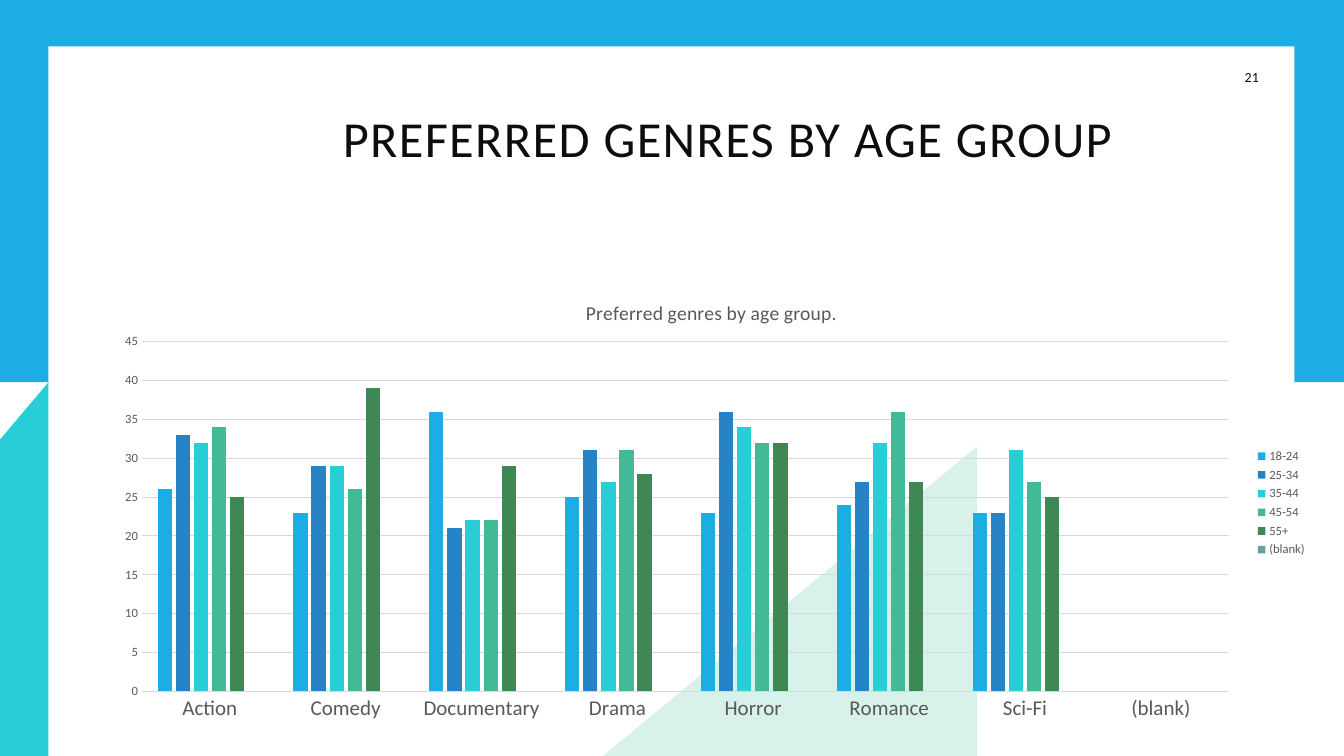
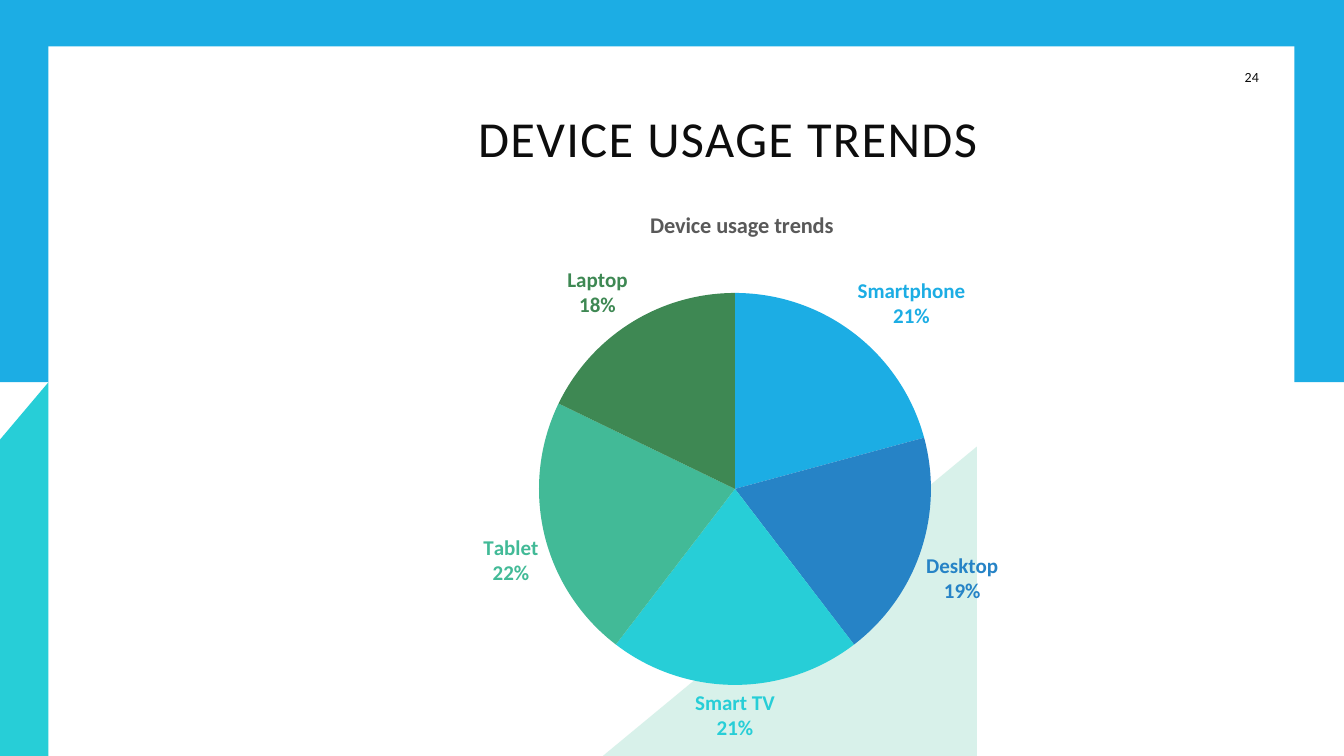
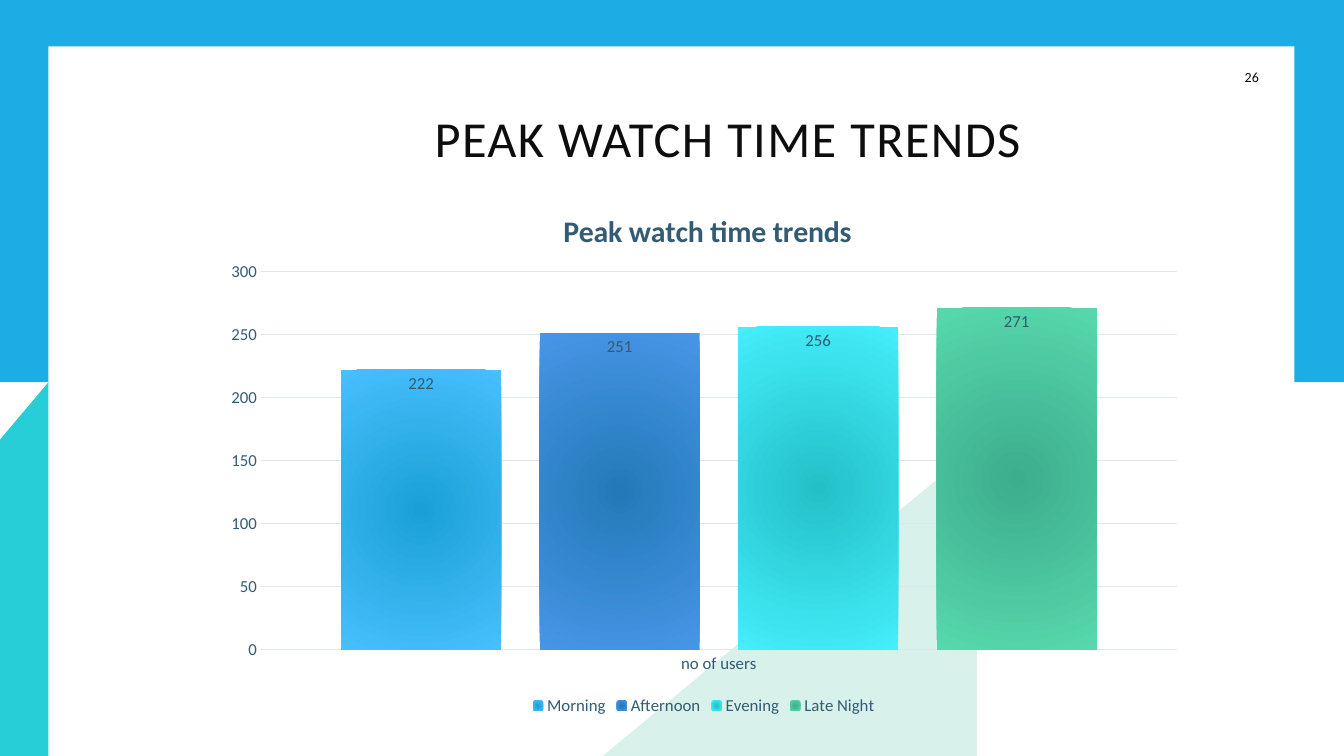
from dataclasses import dataclass
from typing import Any, NamedTuple, Optional

from lxml import etree
from pptx import Presentation
from pptx import util as u
from pptx.chart import data as chart_data
from pptx.dml.color import RGBColor
from pptx.enum import chart as kinds
from pptx.enum import shapes, text
from pptx.oxml import ns

Pt = u.Pt
FONT = "Calibri"
WHITE = RGBColor(0xFF, 0xFF, 0xFF)
INK = RGBColor(0x0D, 0x0D, 0x0D)
GREY = RGBColor(0x59, 0x59, 0x59)
SLATE = RGBColor(0x33, 0x5B, 0x74)
GREY_RULE = RGBColor(0xD9, 0xD9, 0xD9)
SLATE_RULE = RGBColor(0xDB, 0xE8, 0xEF)
SKY = RGBColor(0x1C, 0xAD, 0xE4)
BLUE = RGBColor(0x26, 0x83, 0xC6)
TURQUOISE = RGBColor(0x27, 0xCE, 0xD7)
MINT = RGBColor(0x42, 0xBA, 0x97)
GREEN = RGBColor(0x3E, 0x88, 0x53)
TEAL = RGBColor(0x62, 0xA3, 0x9F)
PALE_MINT = RGBColor(0xB3, 0xE4, 0xD6)
ACCENTS = (SKY, BLUE, TURQUOISE, MINT, GREEN, TEAL)
# Centre and edge colour of each radial gradient
GLOWS = (
    (RGBColor(0x1A, 0xA1, 0xD4), RGBColor(0x48, 0xBF, 0xFF)),
    (RGBColor(0x23, 0x7A, 0xB8), RGBColor(0x48, 0x95, 0xE7)),
    (RGBColor(0x24, 0xC0, 0xC8), RGBColor(0x44, 0xEE, 0xFA)),
    (RGBColor(0x3D, 0xAD, 0x8D), RGBColor(0x57, 0xD8, 0xAC)),
)


class Frame(NamedTuple):
    """A rectangle on the page, in points."""
    left: float
    top: float
    width: float
    height: float

    def lengths(self) -> list[u.Length]:
        return [Pt(value) for value in self]


@dataclass(frozen=True)
class Heading:
    words: str
    left: float
    top: float
    size: float
    bold: bool
    color: RGBColor


@dataclass(frozen=True)
class ChartSpec:
    kind: Any
    frame: Frame
    plot: Frame
    heading: Heading
    categories: tuple[str, ...]
    series: dict[str, tuple[Optional[int], ...]]


@dataclass(frozen=True)
class ColumnStyle:
    gap: int
    overlap: int
    top_value: int
    step: int
    category_size: int
    small_size: int
    color: RGBColor
    rule: RGBColor
    legend: Any


GENRES = ChartSpec(
    kinds.XL_CHART_TYPE.COLUMN_CLUSTERED,
    Frame(72, 196.6, 869, 325.4), Frame(101.4, 244, 776.4, 250),
    Heading("Preferred genres by age group.", 416, 211.5, 14, False, GREY),
    ("Action", "Comedy", "Documentary", "Drama", "Horror", "Romance", "Sci-Fi", "(blank)"),
    {
        "18-24": (26, 23, 36, 25, 23, 24, 23, None),
        "25-34": (33, 29, 21, 31, 36, 27, 23, None),
        "35-44": (32, 29, 22, 27, 34, 32, 31, None),
        "45-54": (34, 26, 22, 31, 32, 36, 27, None),
        "55+": (25, 39, 29, 28, 32, 27, 25, None),
        "(blank)": (None,) * 8,
    },
)
DEVICES = ChartSpec(
    kinds.XL_CHART_TYPE.PIE,
    Frame(139, 131, 782.6, 409), Frame(385, 209.3, 280, 280),
    Heading("Device usage trends", 461.5, 147, 16, True, GREY),
    ("Smartphone", "Desktop", "Smart TV", "Tablet", "Laptop"),
    {"Series 1": (21, 19, 21, 22, 18)},
)
WATCH_TIMES = ChartSpec(
    kinds.XL_CHART_TYPE.COLUMN_CLUSTERED,
    Frame(151, 129, 703.4, 385.2), Frame(186.4, 193.8, 654.3, 270.4),
    Heading("Peak watch time trends", 398.5, 146.5, 21.28, True, SLATE),
    ("no of users",),
    {"Morning": (222,), "Afternoon": (251,), "Evening": (256,), "Late Night": (271,)},
)
LEGEND = kinds.XL_LEGEND_POSITION
GENRE_STYLE = ColumnStyle(219, -27, 45, 5, 15, 9, GREY, GREY_RULE, LEGEND.RIGHT)
WATCH_STYLE = ColumnStyle(100, -24, 300, 50, 12, 12, SLATE, SLATE_RULE, LEGEND.BOTTOM)


def assign(target: Any, values: dict[str, Any]) -> None:
    for name, value in values.items():
        setattr(target, name, value)


def set_font(font: Any, size: float, color: RGBColor, bold: bool = False) -> None:
    assign(font, {"name": FONT, "size": Pt(size), "bold": bold})
    font.color.rgb = color


def paint(shape: Any, color: RGBColor) -> None:
    shape.shadow.inherit = False
    shape.fill.solid()
    shape.fill.fore_color.rgb = color
    shape.line.fill.background()


def add_rectangle(page: Any, frame: Frame, color: RGBColor) -> None:
    paint(page.shapes.add_shape(shapes.MSO_SHAPE.RECTANGLE, *frame.lengths()), color)


def add_polygon(page: Any, corners: list[tuple[float, float]], color: RGBColor) -> Any:
    start, *others = [(Pt(x), Pt(y)) for x, y in corners]
    builder = page.shapes.build_freeform(*start, scale=1.0)
    builder.add_line_segments(others, close=True)
    polygon = builder.convert_to_shape()
    paint(polygon, color)
    return polygon


def add_text(page: Any, frame: Frame, words: str, size: float, align: Any) -> Any:
    box = page.shapes.add_textbox(*frame.lengths())
    assign(box.text_frame, {"word_wrap": True, "vertical_anchor": text.MSO_ANCHOR.MIDDLE})
    para = box.text_frame.paragraphs[0]
    para.alignment = align
    span = para.add_run()
    span.text = words
    set_font(span.font, size, INK)
    return span


def add_page(deck: Any, title: str, number: int) -> Any:
    """Add a page with the frame, title and number that all pages share."""
    page = deck.slides.add_slide(deck.slide_layouts[6])
    add_rectangle(page, Frame(-2, 0, 962, 273), SKY)
    add_rectangle(page, Frame(34.6, 33.1, 890, 474.5), WHITE)
    triangle = add_polygon(page, [(430.6, 540), (697.7, 319), (697.7, 540)], PALE_MINT)
    for color in triangle.fill._xPr.iter(ns.qn("a:srgbClr")):
        etree.SubElement(color, ns.qn("a:alpha"), val="50000")
    add_polygon(page, [(34.6, 273), (34.6, 540), (0, 540), (0, 314)], TURQUOISE)
    span = add_text(page, Frame(185, 0, 670, 196.6), title, 36, text.PP_ALIGN.CENTER)
    span.font._element.set("spc", "100")
    add_text(page, Frame(882, 36, 77.8, 37.4), str(number), 10, text.PP_ALIGN.LEFT)
    return page


def manual_layout(values: dict[str, Any]) -> Any:
    layout = etree.Element(ns.qn("c:layout"))
    manual = etree.SubElement(layout, ns.qn("c:manualLayout"))
    for name, value in values.items():
        etree.SubElement(manual, ns.qn(f"c:{name}"), val=str(value))
    return layout


def clear_layout(element: Any) -> None:
    for layout in element.findall(ns.qn("c:layout")):
        element.remove(layout)


def empty_fill() -> Any:
    properties = etree.Element(ns.qn("c:spPr"))
    etree.SubElement(properties, ns.qn("a:noFill"))
    line = etree.SubElement(properties, ns.qn("a:ln"))
    etree.SubElement(line, ns.qn("a:noFill"))
    return properties


def add_chart(page: Any, spec: ChartSpec) -> Any:
    """Add a transparent chart with its heading and plot at fixed places."""
    data = chart_data.CategoryChartData()
    data.categories = spec.categories
    for name, values in spec.series.items():
        data.add_series(name, values)
    chart = page.shapes.add_chart(spec.kind, *spec.frame.lengths(), data).chart
    set_font(chart.font, 10, INK)
    chart.has_legend = False

    heading, frame, plot = spec.heading, spec.frame, spec.plot
    chart.has_title = True
    span = chart.chart_title.text_frame.paragraphs[0].add_run()
    span.text = heading.words
    set_font(span.font, heading.size, heading.color, heading.bold)

    def edges(left: float, top: float) -> dict[str, Any]:
        return {"xMode": "edge", "yMode": "edge",
                "x": (left - frame.left) / frame.width,
                "y": (top - frame.top) / frame.height}

    title = chart.chart_title._element
    clear_layout(title)
    title.find(ns.qn("c:tx")).addnext(manual_layout(edges(heading.left, heading.top)))
    space = chart._chartSpace
    area = space.find(f".//{ns.qn('c:plotArea')}")
    clear_layout(area)
    area.insert(0, manual_layout({
        "layoutTarget": "inner", **edges(plot.left, plot.top),
        "w": plot.width / frame.width, "h": plot.height / frame.height}))
    area.append(empty_fill())
    space.find(ns.qn("c:chart")).addnext(empty_fill())
    return chart


def style_columns(chart: Any, style: ColumnStyle) -> None:
    assign(chart.plots[0], {"gap_width": style.gap, "overlap": style.overlap,
                            "vary_by_categories": False})
    tick_none = kinds.XL_TICK_MARK.NONE
    for axis, size in ((chart.category_axis, style.category_size),
                       (chart.value_axis, style.small_size)):
        assign(axis, {"major_tick_mark": tick_none, "minor_tick_mark": tick_none})
        set_font(axis.tick_labels.font, size, style.color)
    values = chart.value_axis
    assign(values, {"minimum_scale": 0, "maximum_scale": style.top_value,
                    "major_unit": style.step, "has_major_gridlines": True})
    values.format.line.fill.background()
    for rule in (chart.category_axis.format.line, values.major_gridlines.format.line):
        rule.width = Pt(0.75)
        rule.color.rgb = style.rule
    chart.has_legend = True
    assign(chart.legend, {"position": style.legend, "include_in_layout": False})
    set_font(chart.legend.font, style.small_size, style.color)


def fill_solid(item: Any, color: RGBColor) -> None:
    item.format.fill.solid()
    item.format.fill.fore_color.rgb = color


def fill_radial(series: Any, colors: tuple[RGBColor, RGBColor]) -> None:
    fill = series.format.fill
    fill.gradient()
    for stop, position, color in zip(fill.gradient_stops, (0, 1), colors):
        stop.position = position
        stop.color.rgb = color
    for linear in series._element.xpath(".//a:gradFill/a:lin"):
        circle = etree.Element(ns.qn("a:path"), {"path": "circle"})
        etree.SubElement(circle, ns.qn("a:fillToRect"), dict.fromkeys("ltrb", "100000"))
        linear.getparent().replace(linear, circle)


def style_pie(chart: Any, count: int) -> None:
    """Colour each slice and label it with its name over its share."""
    chart.plots[0].vary_by_categories = True
    series = chart.plots[0].series[0]
    for index, color in enumerate(ACCENTS[:count]):
        point = series.points[index]
        fill_solid(point, color)
        set_font(point.data_label.font, 15, color, True)
        point.data_label.position = kinds.XL_LABEL_POSITION.OUTSIDE_END
    for name, shown in {"showVal": "0", "showCatName": "1", "showPercent": "1"}.items():
        for flag in series._element.xpath(f".//c:dLbls//c:{name}"):
            flag.set("val", shown)
    for label in series._element.xpath(".//c:dLbl"):
        etree.SubElement(label, ns.qn("c:separator")).text = "\n"


def main() -> None:
    deck = Presentation()
    assign(deck, {"slide_width": Pt(960), "slide_height": Pt(540)})

    genres = add_chart(add_page(deck, "PREFERRED GENRES BY AGE GROUP", 21), GENRES)
    style_columns(genres, GENRE_STYLE)
    for series, color in zip(genres.plots[0].series, ACCENTS):
        fill_solid(series, color)

    devices = add_chart(add_page(deck, "DEVICE USAGE TRENDS", 24), DEVICES)
    style_pie(devices, len(DEVICES.categories))

    watch_times = add_chart(add_page(deck, "PEAK WATCH TIME TRENDS", 26), WATCH_TIMES)
    style_columns(watch_times, WATCH_STYLE)
    for series, glow in zip(watch_times.plots[0].series, GLOWS):
        fill_radial(series, glow)
        labels = series.data_labels
        assign(labels, {"show_value": True, "position": kinds.XL_LABEL_POSITION.INSIDE_END})
        set_font(labels.font, 12, SLATE)

    deck.save("out.pptx")


if __name__ == "__main__":
    main()
